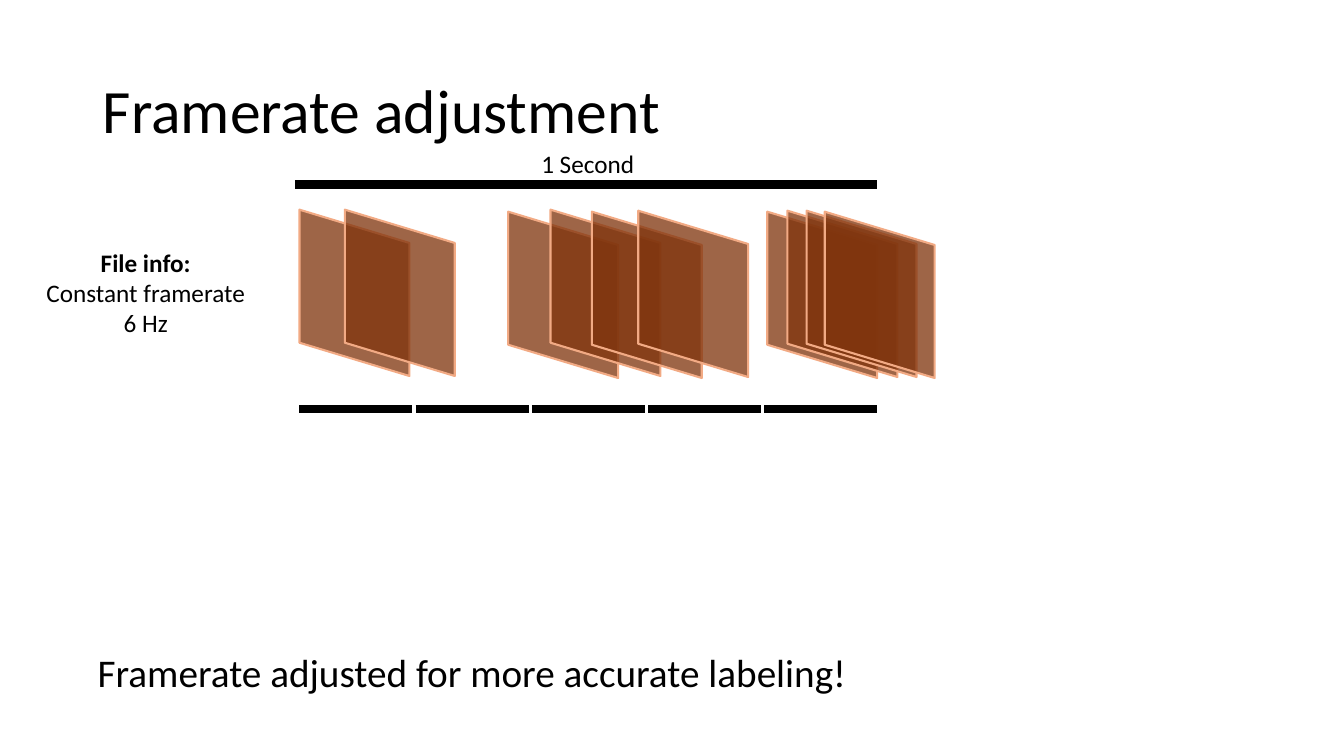
from typing import NamedTuple

from lxml.etree import SubElement
from pptx import Presentation
from pptx.dml.color import RGBColor
from pptx.enum.shapes import MSO_CONNECTOR as Connector, MSO_SHAPE as Shape
from pptx.enum.text import MSO_ANCHOR as Anchor, PP_ALIGN as Align
from pptx.oxml.ns import qn
from pptx.slide import Slide
from pptx.text.text import TextFrame
from pptx.util import Inches, Pt

COLORS = {"text": "000000", "bar": "000000", "frame": "80350E", "edge": "F2AA84"}
FONT = "Calibri"
FRAME_WIDTH, FRAME_HEIGHT = 1.65, 1.09
FRAME_OPACITY = 76
BAR_END = 8.7
SEGMENT_START, SEGMENT_LENGTH, SEGMENT_COUNT = 2.97, 1.12, 5


class VideoFrame(NamedTuple):
    left: float
    top: float


class Caption(NamedTuple):
    left: float
    top: float
    width: float
    height: float
    lines: list[str]
    size: int
    align: Align = Align.LEFT
    wrap: bool = False
    bold_lines: int = 0
    line_spacing: float = 1.0


# Listed from back to front
VIDEO_FRAMES = [
    VideoFrame(2.69, 2.36), VideoFrame(3.14, 2.36),
    VideoFrame(4.76, 2.38), VideoFrame(5.18, 2.36),
    VideoFrame(7.33, 2.38), VideoFrame(5.59, 2.38),
    VideoFrame(6.05, 2.37), VideoFrame(7.53, 2.37),
    VideoFrame(7.72, 2.37), VideoFrame(7.9, 2.38),
]
CAPTIONS = [
    Caption(5.27, 1.42, 1.19, 0.4, ["1 Second"], 18),
    Caption(0.35, 2.4, 2.19, 1.31, ["File info:", "Constant framerate", "6 Hz"],
            18, align=Align.CENTER, bold_lines=1),
    Caption(0.87, 6.44, 11.5, 0.8, ["Framerate adjusted for more accurate labeling!"],
            28, wrap=True, line_spacing=0.9),
]


def rgb(name: str) -> RGBColor:
    return RGBColor.from_string(COLORS[name])


def format_text(text_frame: TextFrame, size: int, align: Align,
                line_spacing: float, bold_lines: int = 0) -> None:
    for index, paragraph in enumerate(text_frame.paragraphs):
        paragraph.alignment = align
        paragraph.line_spacing = line_spacing
        for run in paragraph.runs:
            run.font.name = FONT
            run.font.size = Pt(size)
            run.font.bold = index < bold_lines
            run.font.color.rgb = rgb("text")


def add_title(slide: Slide, text: str) -> None:
    title = slide.shapes.title
    title.left, title.top = Inches(0.92), Inches(0.4)
    title.width, title.height = Inches(11.5), Inches(1.45)
    title.text_frame.text = text
    title.text_frame.vertical_anchor = Anchor.MIDDLE
    format_text(title.text_frame, 44, Align.LEFT, 0.9)


def add_video_frame(slide: Slide, frame: VideoFrame) -> None:
    """Draw one translucent frame, turned upright to look like a receding sheet."""
    sheet = slide.shapes.add_shape(
        Shape.FLOWCHART_DATA, Inches(frame.left), Inches(frame.top),
        Inches(FRAME_WIDTH), Inches(FRAME_HEIGHT))
    sheet.rotation = 270
    sheet.shadow.inherit = False
    sheet.fill.solid()
    sheet.fill.fore_color.rgb = rgb("frame")
    fill_color = sheet.fill._xPr.find(qn("a:solidFill"))[0]
    SubElement(fill_color, qn("a:alpha"), val=str(FRAME_OPACITY * 1000))
    sheet.line.color.rgb = rgb("edge")
    sheet.line.width = Pt(1.5)


def add_time_bar(slide: Slide, start: float, end: float, y: float) -> None:
    bar = slide.shapes.add_connector(
        Connector.STRAIGHT, Inches(start), Inches(y), Inches(end), Inches(y))
    bar.line.color.rgb = rgb("bar")
    bar.line.width = Pt(6)
    SubElement(bar._element.spPr, qn("a:effectLst"))


def add_caption(slide: Slide, caption: Caption) -> None:
    box = slide.shapes.add_textbox(
        Inches(caption.left), Inches(caption.top),
        Inches(caption.width), Inches(caption.height))
    box.text_frame.word_wrap = caption.wrap
    box.text_frame.text = "\n".join(caption.lines)
    format_text(box.text_frame, caption.size, caption.align,
                caption.line_spacing, caption.bold_lines)


def main() -> None:
    deck = Presentation()
    deck.slide_width, deck.slide_height = Inches(13.33), Inches(7.5)
    slide = deck.slides.add_slide(deck.slide_layouts[5])

    add_title(slide, "Framerate adjustment")
    for frame in VIDEO_FRAMES:
        add_video_frame(slide, frame)

    add_time_bar(slide, 2.93, BAR_END, 1.83)
    step = (BAR_END - SEGMENT_LENGTH - SEGMENT_START) / (SEGMENT_COUNT - 1)
    for index in range(SEGMENT_COUNT):
        start = SEGMENT_START + index * step
        add_time_bar(slide, start, start + SEGMENT_LENGTH, 4.06)

    for caption in CAPTIONS:
        add_caption(slide, caption)
    deck.save("out.pptx")


if __name__ == "__main__":
    main()
